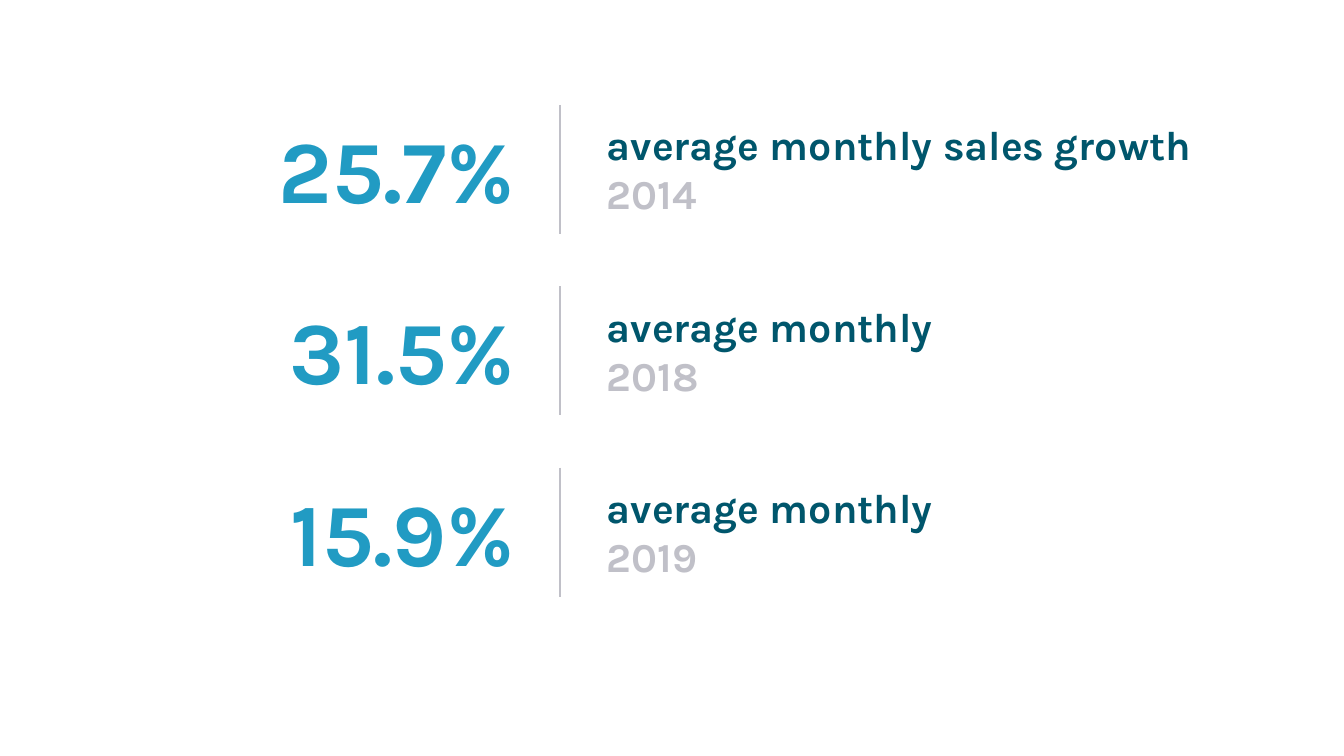
"""Build a slide of three average monthly growth figures."""
import pptx
import pptx.util
import pptx.dml.color
import pptx.enum.shapes
import pptx.enum.text
import lxml.etree
from dataclasses import dataclass
from pptx.util import Inches

GROWTH_FIGURES = [
    ("25.7%", "average monthly sales growth", "2014"),
    ("31.5%", "average monthly", "2018"),
    ("15.9%", "average monthly", "2019"),
]


@dataclass(frozen=True)
class Theme:
    font: str = "Karla"
    figure_color: str = "219BC3"
    caption_color: str = "00566C"
    muted_color: str = "C0C0C8"
    figure_size: int = 95
    caption_size: int = 44
    divider_width: int = 2


THEME = Theme()
FIRST_ROW_TOP, ROW_PITCH = 1.56, 2.7
DIVIDER_LEFT, DIVIDER_HEIGHT = 8.34, 1.92
FIGURE_LEFT, FIGURE_OFFSET, FIGURE_WIDTH, FIGURE_HEIGHT = 2.93, 0.1, 4.83, 1.7
CAPTION_LEFT, CAPTION_OFFSET, CAPTION_WIDTH, CAPTION_HEIGHT = 8.93, 0.17, 10.58, 1.58


def rgb(color):
    return pptx.dml.color.RGBColor.from_string(color)


def add_text(slide, left, top, width, height, lines, size, colors, align):
    box = slide.shapes.add_textbox(Inches(left), Inches(top), Inches(width), Inches(height))
    frame = box.text_frame
    frame.text = "\n".join(lines)
    frame.word_wrap = True
    frame.auto_size = pptx.enum.text.MSO_AUTO_SIZE.SHAPE_TO_FIT_TEXT
    for paragraph, color in zip(frame.paragraphs, colors):
        paragraph.alignment = align
        for run in paragraph.runs:
            run.font.name = THEME.font
            run.font.size = pptx.util.Pt(size)
            run.font.bold = True
            run.font.color.rgb = rgb(color)


def add_divider(slide, top):
    divider = slide.shapes.add_connector(
        pptx.enum.shapes.MSO_CONNECTOR.STRAIGHT,
        Inches(DIVIDER_LEFT), Inches(top),
        Inches(DIVIDER_LEFT), Inches(top + DIVIDER_HEIGHT))
    divider.line.color.rgb = rgb(THEME.muted_color)
    divider.line.width = pptx.util.Pt(THEME.divider_width)
    lxml.etree.SubElement(divider._element.spPr, pptx.oxml.ns.qn("a:effectLst"))


def main():
    presentation = pptx.Presentation()
    presentation.slide_width = Inches(20)
    presentation.slide_height = Inches(11.25)
    slide = presentation.slides.add_slide(presentation.slide_layouts[6])

    for row, (figure, caption, year) in enumerate(GROWTH_FIGURES):
        top = FIRST_ROW_TOP + row * ROW_PITCH
        add_text(slide, CAPTION_LEFT, top + CAPTION_OFFSET, CAPTION_WIDTH, CAPTION_HEIGHT,
                 [caption, year], THEME.caption_size,
                 [THEME.caption_color, THEME.muted_color], pptx.enum.text.PP_ALIGN.LEFT)
        add_divider(slide, top)
        add_text(slide, FIGURE_LEFT, top + FIGURE_OFFSET, FIGURE_WIDTH, FIGURE_HEIGHT,
                 [figure], THEME.figure_size,
                 [THEME.figure_color], pptx.enum.text.PP_ALIGN.RIGHT)

    presentation.save("out.pptx")


if __name__ == "__main__":
    main()
